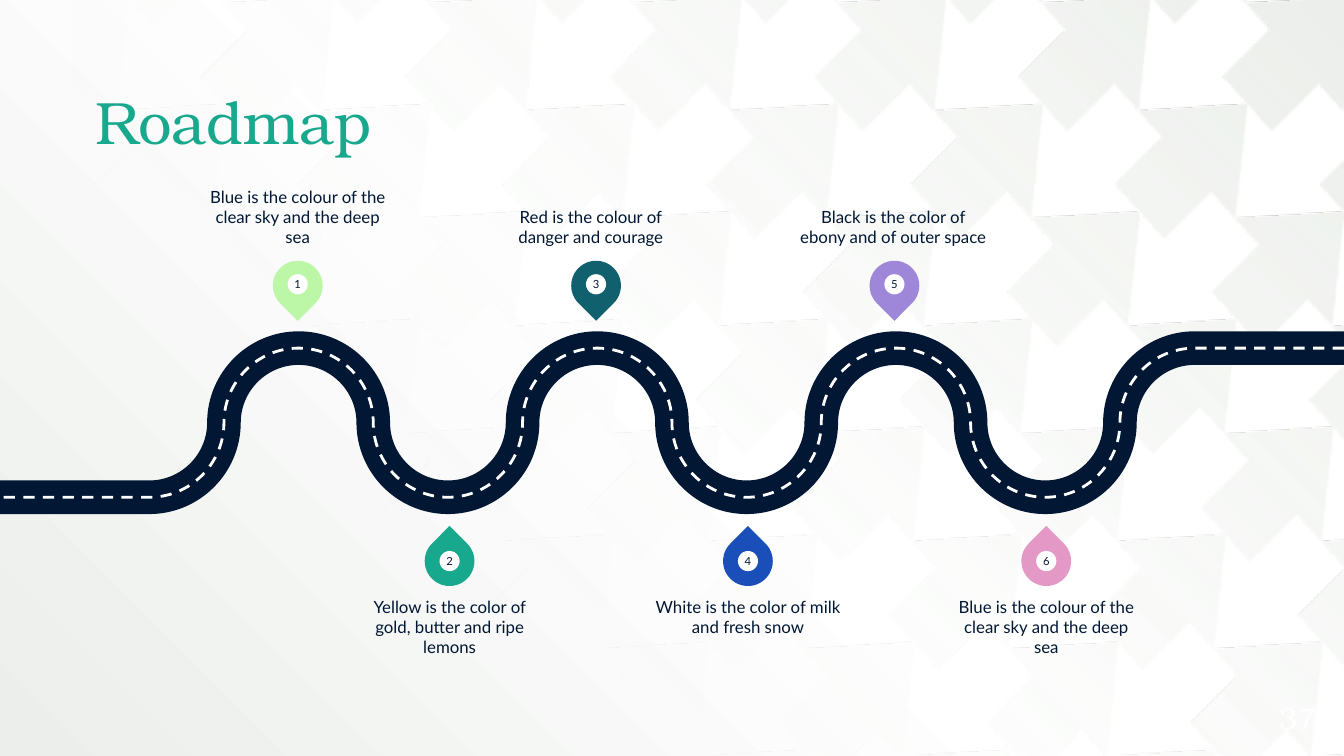
import pptx
import pptx.util
from lxml import etree
from pptx.dml.color import RGBColor
from pptx.enum.dml import MSO_LINE
from pptx.enum.shapes import MSO_SHAPE
from pptx.enum.text import MSO_ANCHOR, MSO_AUTO_SIZE, PP_ALIGN
from pptx.oxml.ns import qn

PX = 9144  # EMU in one px, 100 px to the inch
WIDTH = 1000
HEIGHT = WIDTH * 9 / 16

NAVY = RGBColor(0x01, 0x17, 0x33)
WHITE = RGBColor(0xFF, 0xFF, 0xFF)
MIST = RGBColor(0xEB, 0xEE, 0xEA)
GREEN = RGBColor(0x18, 0xA8, 0x8D)
LIME = RGBColor(0xBC, 0xF6, 0xA7)
TEAL = RGBColor(0x11, 0x60, 0x6D)
BLUE = RGBColor(0x1A, 0x4E, 0xB9)
PURPLE = RGBColor(0x9E, 0x87, 0xD8)
PINK = RGBColor(0xE4, 0x98, 0xC6)

SERIF, SANS = "TeX Gyre Bonum", "Lato"

# Colour, left of the caption, caption
MILESTONES = [
    (LIME, 151, "Blue is the colour of the clear sky and the deep sea"),
    (GREEN, 264, "Yellow is the color of gold, butter and ripe lemons"),
    (TEAL, 369, "Red is the colour of danger and courage"),
    (BLUE, 486, "White is the color of milk and fresh snow"),
    (PURPLE, 594, "Black is the color of ebony and of outer space"),
    (PINK, 708, "Blue is the colour of the clear sky and the deep sea"),
]

# Background arrow, measured from its tip
ARROW = [(0, 0), (-9, 85), (-27, 65), (-62, 100),
         (-80, 80), (-98, 60), (-63, 25), (-81, 5)]
ARROW_LIMITS = [(0, 53, 1), (0, WIDTH, -1), (1, 0, 1), (1, HEIGHT, -1)]


def box(*lengths):
    return [pptx.util.Emu(int(length * PX)) for length in lengths]


def set_gradient(properties, stops, direction):
    """Put a gradient of (position, colour, alpha) stops in place of a solid fill."""
    gradient = etree.Element(qn("a:gradFill"), rotWithShape="1")
    stop_list = etree.SubElement(gradient, qn("a:gsLst"))
    for position, color, alpha in stops:
        stop = etree.SubElement(stop_list, qn("a:gs"), pos=str(position * 1000))
        tone = etree.SubElement(stop, qn("a:srgbClr"), val=str(color))
        if alpha < 100:
            etree.SubElement(tone, qn("a:alpha"), val=str(alpha * 1000))
    gradient.append(direction)
    properties.replace(properties.find(qn("a:solidFill")), gradient)


def add_outline(slide, contours, closed):
    """Add one freeform made of contours given in px."""
    scaled = [[(x * PX, y * PX) for x, y in contour] for contour in contours]
    builder = slide.shapes.build_freeform(*scaled[0][0], scale=1.0)
    for number, contour in enumerate(scaled):
        if number:
            builder.move_to(*contour[0])
        builder.add_line_segments(contour[1:], close=closed)
    outline = builder.convert_to_shape()
    outline.shadow.inherit = False
    return outline


def clip(polygon, axis, limit, sign):
    """Keep the part of a polygon on one side of a horizontal or vertical limit."""
    kept = []
    for start, end in zip(polygon[-1:] + polygon[:-1], polygon):
        before, after = [sign * (point[axis] - limit) for point in (start, end)]
        if before * after < 0:
            share = before / (before - after)
            kept.append(tuple(a + share * (b - a) for a, b in zip(start, end)))
        if after >= 0:
            kept.append(end)
    return kept


def add_background(slide):
    slide.background.fill.solid()
    radial = etree.Element(qn("a:path"), path="circle")
    etree.SubElement(radial, qn("a:fillToRect"), l="100000", t="0", r="0", b="100000")
    set_gradient(slide.background._cSld.bg.bgPr,
                 [(0, WHITE, 100), (50, WHITE, 100), (100, MIST, 100)], radial)

    arrows = []
    for row in range(-2, 7):
        for tip_x in range(168 + 72 * row, WIDTH + 100, 152):
            arrow = [(tip_x + x, 78 + 80 * row + y) for x, y in ARROW]
            for limit in ARROW_LIMITS:
                arrow = clip(arrow, *limit)
            if arrow:
                arrows.append(arrow)
    pattern = add_outline(slide, arrows, True)
    pattern.line.fill.background()
    pattern.fill.solid()
    linear = etree.Element(qn("a:lin"), ang=str(135 * 60000), scaled="0")
    set_gradient(pattern._element.spPr,
                 [(0, MIST, 100), (80, WHITE, 0), (100, WHITE, 0)], linear)
    slide.shapes._spTree.insert(2, pattern._element)


def bend(start, end, leaves_flat):
    """Turn a straight segment into a quarter of a circle."""
    (x0, y0), (x1, y1) = [(int(node[0].get("x")), int(node[0].get("y")))
                          for node in (start, end)]
    dx, dy = 0.55 * (x1 - x0), 0.55 * (y1 - y0)
    if leaves_flat:
        points = [(x0 + dx, y0), (x1, y1 - dy), (x1, y1)]
    else:
        points = [(x0, y0 + dy), (x1 - dx, y1), (x1, y1)]
    curve = etree.Element(qn("a:cubicBezTo"))
    for x, y in points:
        etree.SubElement(curve, qn("a:pt"), x=str(round(x)), y=str(round(y)))
    return curve


def add_road(slide, color, width):
    radius = WIDTH / 18
    heights = [259, 314.5, 370, 314.5]
    turns = [(WIDTH - radius * (quarter + 2), heights[quarter % 4])
             for quarter in range(15)]
    road = add_outline(slide, [[(WIDTH, 259), *turns, (0, 370)]], False)
    road.fill.background()
    road.line.color.rgb = color
    road.line.width = pptx.util.Pt(width)

    path = road._element.spPr.find(".//" + qn("a:path"))
    nodes = list(path)[1:-1]
    for quarter, (start, end) in enumerate(zip(nodes, nodes[1:])):
        path.replace(end, bend(start, end, quarter % 2 == 0))
    return road


def write(holder, text, size, font, color, align, anchor):
    frame = holder.text_frame
    frame.word_wrap = True
    frame.auto_size = MSO_AUTO_SIZE.NONE
    frame.vertical_anchor = anchor
    frame.margin_left = frame.margin_right = 0
    frame.margin_top = frame.margin_bottom = 0
    paragraph = frame.paragraphs[0]
    paragraph.alignment = align
    run = paragraph.add_run()
    run.text = text
    run.font.size = pptx.util.Pt(size)
    run.font.name = font
    run.font.color.rgb = color
    return paragraph


def add_title(slide, text):
    title = slide.shapes.title
    title.left, title.top, title.width, title.height = box(71, 69, 670, 47)
    paragraph = write(title, text, 32, SERIF, GREEN, PP_ALIGN.LEFT, MSO_ANCHOR.TOP)
    paragraph.line_spacing = 0.9


def add_filled(group, preset, place, color):
    part = group.shapes.add_shape(preset, *box(*place))
    part.shadow.inherit = False
    part.fill.solid()
    part.fill.fore_color.rgb = color
    part.line.fill.background()
    return part


def add_milestone(slide, number, color, caption_left, text):
    above = number % 2 == 1
    left = 203 + 111 * (number - 1) + (0 if above else 2)
    top = 194 if above else 399
    pin = slide.shapes.add_group_shape()
    drop = add_filled(pin, MSO_SHAPE.TEAR, (left, top, 37, 37), color)
    drop.rotation = 135 if above else 315
    dot = add_filled(pin, MSO_SHAPE.OVAL,
                     (left + 11, top + (10 if above else 11), 15, 15), WHITE)
    write(dot, str(number), 6, SANS, NAVY, PP_ALIGN.CENTER, MSO_ANCHOR.MIDDLE)

    caption = slide.shapes.add_textbox(*box(caption_left, 126 if above else 444, 141, 58))
    write(caption, text, 9, SANS, NAVY, PP_ALIGN.CENTER,
          MSO_ANCHOR.BOTTOM if above else MSO_ANCHOR.TOP)


def main():
    deck = pptx.Presentation()
    deck.slide_width, deck.slide_height = box(WIDTH, HEIGHT)
    slide = deck.slides.add_slide(deck.slide_layouts[5])
    add_background(slide)
    add_title(slide, "Roadmap")
    add_road(slide, NAVY, 18)
    add_road(slide, WHITE, 1.5).line.dash_style = MSO_LINE.DASH
    for number, milestone in enumerate(MILESTONES, start=1):
        add_milestone(slide, number, *milestone)
    page_number = slide.shapes.add_textbox(*box(939, 514, 40, 40))
    write(page_number, "37", 16, SERIF, WHITE, PP_ALIGN.RIGHT, MSO_ANCHOR.MIDDLE)
    deck.save("out.pptx")


if __name__ == "__main__":
    main()
